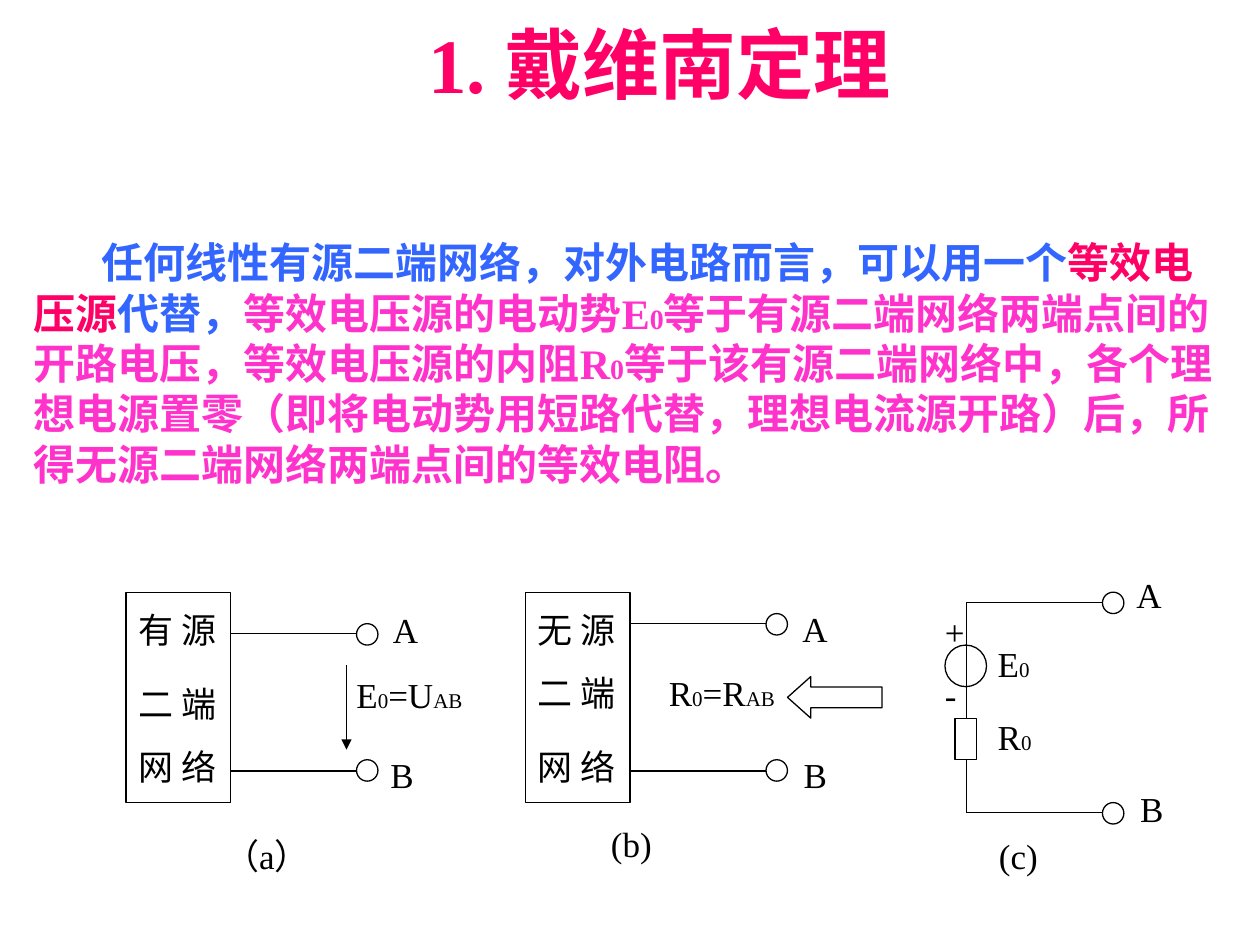
"""Build a slide stating Thevenin's theorem with its three circuit diagrams."""
from pptx import Presentation
from pptx.dml.color import RGBColor
from pptx.enum.shapes import MSO_CONNECTOR as CONNECTOR, MSO_SHAPE as SHAPE
from pptx.enum.text import MSO_ANCHOR as ANCHOR, MSO_AUTO_SIZE as FIT, PP_ALIGN as ALIGN
from pptx.oxml.ns import qn
from pptx.util import Inches, Pt
from lxml.etree import SubElement

FONT = "Times New Roman"
BLACK, WHITE, RED, BLUE, PINK = "000000", "FFFFFF", "FF0066", "3366FF", "FF33CC"


def rgb(value):
    return RGBColor.from_string(value)


def write(frame, runs, size, bold=False, wrap=False):
    frame.word_wrap = wrap
    frame.auto_size = FIT.NONE
    frame.vertical_anchor = ANCHOR.TOP
    paragraph = frame.paragraphs[0]
    paragraph.alignment = ALIGN.LEFT
    paragraph.font.name = FONT
    paragraph.font.size = Pt(size)
    paragraph.font.bold = bold
    for text, run_size, color in runs:
        run = paragraph.add_run()
        run.text = text
        run.font.color.rgb = rgb(color)
        if run_size != size:
            run.font.size = Pt(run_size)
    return paragraph


deck = Presentation()
deck.slide_width, deck.slide_height = Inches(10), Inches(7.5)
slide = deck.slides.add_slide(deck.slide_layouts[5])
shapes = slide.shapes

title = shapes.title
title.left, title.top, title.width, title.height = map(Inches, (3.3, 0.08, 4.4, 0.84))
write(title.text_frame, [("1. 戴维南定理", 44, RED)], 44, bold=True, wrap=True)

theorem_box = shapes.add_textbox(Inches(0.17), Inches(1.83), Inches(9.67), Inches(2.1))
theorem = write(theorem_box.text_frame, [
    ("任何线性有源二端网络，对外电路而言，可以用一个", 24, BLUE),
    ("等效电压源", 24, RED),
    ("代替，", 24, BLUE),
    ("等效电压源的电动势E", 24, PINK),
    ("0", 16, PINK),
    ("等于有源二端网络两端点间的开路电压，等效电压源的内阻R", 24, PINK),
    ("0", 16, PINK),
    ("等于该有源二端网络中，各个理想电源置零（即将电动势用短路代替，理想电流源开路）后，"
     "所得无源二端网络两端点间的等效电阻。", 24, PINK),
], 24, bold=True, wrap=True)
theorem._p.get_or_add_pPr().set("indent", str(Inches(0.54)))

terminals = [(2.83, 4.95), (2.83, 6.03), (6.08, 4.87), (6.08, 6.03), (8.75, 4.7), (8.75, 6.37)]
parts = [
    (SHAPE.RECTANGLE, 1, 4.7, 0.83, 1.67),
    (SHAPE.RECTANGLE, 4.17, 4.7, 0.83, 1.67),
    (SHAPE.RECTANGLE, 7.58, 5.7, 0.17, 0.33),
    (SHAPE.OVAL, 7.5, 5.12, 0.33, 0.33),
    (SHAPE.LEFT_ARROW, 6.25, 5.37, 0.75, 0.33),
] + [(SHAPE.OVAL, x, y, 0.17, 0.17) for x, y in terminals]
for kind, *place in parts:
    part = shapes.add_shape(kind, *map(Inches, place))
    part.shadow.inherit = False
    part.fill.solid()
    part.fill.fore_color.rgb = rgb(WHITE)
    part.line.color.rgb = rgb(BLACK)
    part.line.width = Pt(0.75)
    if kind == SHAPE.LEFT_ARROW:
        part.adjustments[1] = 0.56

wires = [
    (1.83, 5.03, 2.83, 5.03),
    (1.83, 6.12, 2.83, 6.12),
    (5, 4.95, 6.08, 4.95),
    (5, 6.12, 6.08, 6.12),
    (7.67, 4.78, 8.75, 4.78),
    (7.67, 4.78, 7.67, 5.7),
    (7.67, 6.03, 7.67, 6.45),
    (7.67, 6.45, 8.75, 6.45),
]
voltage_arrow = (2.75, 5.28, 2.75, 5.95)
for ends in wires + [voltage_arrow]:
    wire = shapes.add_connector(CONNECTOR.STRAIGHT, *map(Inches, ends))
    wire.line.color.rgb = rgb(BLACK)
    wire.line.width = Pt(0.75)
    if ends == voltage_arrow:
        SubElement(wire.line._get_or_add_ln(), qn("a:tailEnd"), type="triangle")
    SubElement(wire._element.spPr, qn("a:effectLst"))

labels = [
    (1, 4.78, 0.82, "有 源"),
    (1, 5.37, 0.82, "二 端"),
    (1, 5.87, 0.82, "网 络"),
    (4.17, 4.78, 0.82, "无 源"),
    (4.17, 5.28, 0.82, "二 端"),
    (4.17, 5.87, 0.82, "网 络"),
    (3.02, 4.78, 0.4, "A"),
    (3, 5.93, 0.38, "B"),
    (6.27, 4.77, 0.4, "A"),
    (6.28, 5.93, 0.38, "B"),
    (8.92, 4.5, 0.4, "A"),
    (8.95, 6.2, 0.38, "B"),
    (2.73, 5.3, 1.04, "E", "0", "=U", "AB"),
    (5.21, 5.28, 1.04, "R", "0", "=R", "AB"),
    (7.82, 5.05, 0.45, "E", "0"),
    (7.82, 5.63, 0.47, "R", "0"),
    (7.4, 4.8, 0.35, "+"),
    (7.4, 5.3, 0.29, "-"),
    (1.68, 6.57, 1.01, "（a）"),
    (4.75, 6.48, 0.52, "(b)"),
    (7.83, 6.57, 0.51, "(c)"),
]
for left, top, width, *pieces in labels:
    label = shapes.add_textbox(Inches(left), Inches(top), Inches(width), Inches(0.44))
    runs = [(piece, 12 if i % 2 else 20, BLACK) for i, piece in enumerate(pieces)]
    write(label.text_frame, runs, 20)

deck.save("out.pptx")
